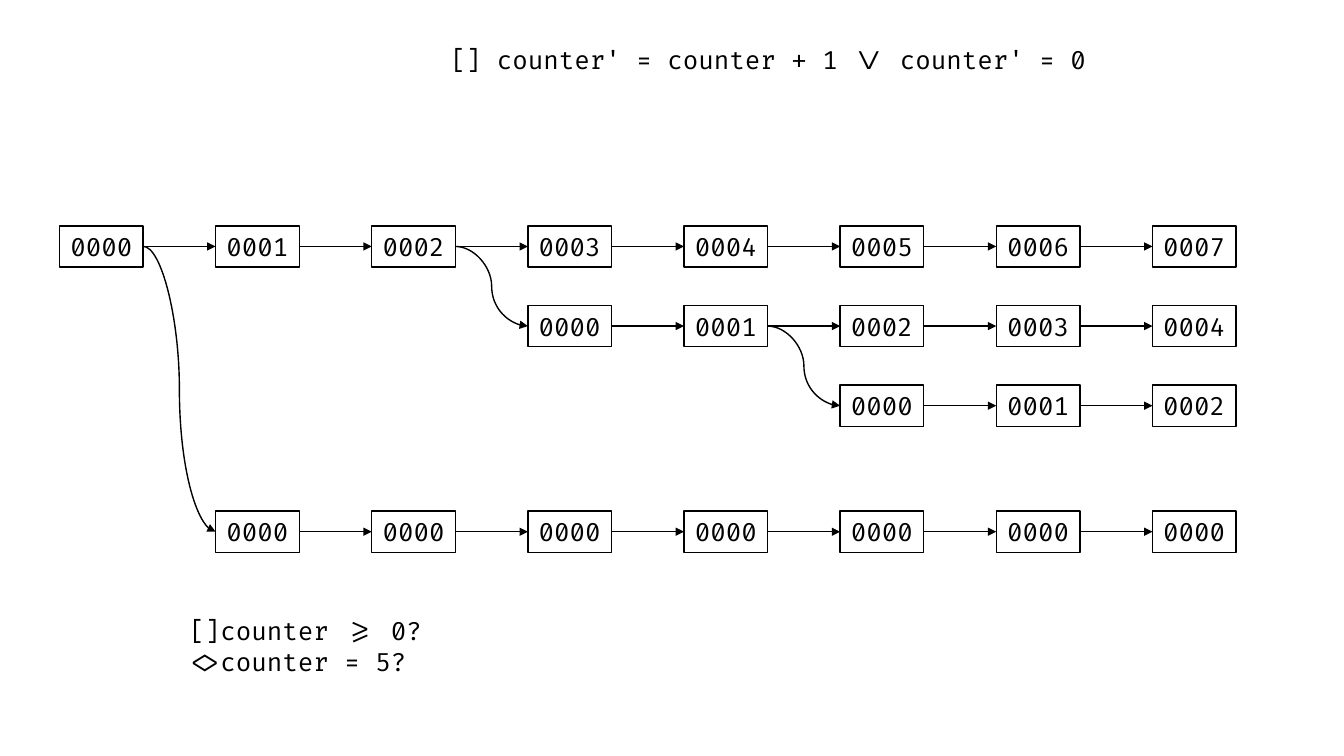
from typing import NamedTuple, Optional

from lxml.etree import SubElement
from pptx import Presentation
from pptx.dml.color import RGBColor
from pptx.enum.shapes import MSO_CONNECTOR as CONN, MSO_SHAPE as SHAPE
from pptx.enum.text import MSO_ANCHOR as ANCHOR, MSO_AUTO_SIZE as FIT, PP_ALIGN as ALIGN
from pptx.oxml.ns import qn
from pptx.util import Inches, Pt

BLACK = "000000"
FONT = "Fira Code"
LEFT, RIGHT, COLUMNS = 0.59, 11.43, 8
PITCH = (RIGHT - LEFT) / (COLUMNS - 1)
BOX_W, BOX_H = 0.83, 0.41
LEFT_SITE, RIGHT_SITE = 1, 3


class Trace(NamedTuple):
    """A run of counter states, up to the last column."""
    top: float
    states: list[int]
    parent: Optional[int] = None  # index of the trace it branches from


class Formula(NamedTuple):
    """A temporal formula, one line of text per item."""
    left: float
    top: float
    width: float
    height: float
    lines: list[str]


TRACES = [
    Trace(2.24, list(range(8))),
    Trace(3.03, list(range(5)), parent=0),
    Trace(3.82, list(range(3)), parent=1),
    Trace(5.07, [0] * 7, parent=0),
]

FORMULAS = [
    Formula(4.37, 0.39, 6.6, 0.4, ["[] counter' = counter + 1 \\/ counter' = 0"]),
    Formula(1.78, 6.06, 2.54, 0.71, ["[]counter >= 0?", "<>counter = 5?"]),
]


def rgb(color: str) -> RGBColor:
    """Turn a hex string into a colour."""
    return RGBColor.from_string(color)


def write(tf, lines: list[str], *, size=18, color=BLACK, align=ALIGN.LEFT,
          anchor=ANCHOR.TOP, wrap=True) -> None:
    """Fill a text frame with one paragraph per line."""
    tf.word_wrap = wrap
    tf.auto_size = FIT.SHAPE_TO_FIT_TEXT
    tf.vertical_anchor = anchor
    for i, line in enumerate(lines):
        p = tf.add_paragraph() if i else tf.paragraphs[0]
        p.alignment = align
        r = p.add_run()
        r.text = line
        r.font.name, r.font.size = FONT, Pt(size)
        r.font.color.rgb = rgb(color)


def add_state(s, column: int, top: float, value: int):
    """Draw one counter state as a box in the given column."""
    sp = s.shapes.add_shape(SHAPE.RECTANGLE, Inches(LEFT + column * PITCH),
                            Inches(top), Inches(BOX_W), Inches(BOX_H))
    sp.shadow.inherit = False
    sp.fill.background()
    sp.line.color.rgb = rgb(BLACK)
    sp.line.width = Pt(1)
    write(sp.text_frame, [f"{value:04d}"], align=ALIGN.CENTER, anchor=ANCHOR.MIDDLE)
    return sp


def add_arrow(s, source, target, kind=CONN.STRAIGHT) -> None:
    """Join the right side of one state to the left side of the next."""
    c = s.shapes.add_connector(kind, 0, 0, 0, 0)
    c.begin_connect(source, RIGHT_SITE)
    c.end_connect(target, LEFT_SITE)
    c.line.color.rgb = rgb(BLACK)
    c.line.width = Pt(1)
    SubElement(c.line._get_or_add_ln(), qn("a:tailEnd"), type="triangle")
    SubElement(c._element.spPr, qn("a:effectLst"))


def add_trace(s, trace: Trace) -> dict:
    """Draw a trace and return its boxes by column."""
    first = COLUMNS - len(trace.states)
    boxes = {column: add_state(s, column, trace.top, value)
             for column, value in enumerate(trace.states, first)}
    for column in range(first + 1, COLUMNS):
        add_arrow(s, boxes[column - 1], boxes[column])
    return boxes


def add_formula(s, formula: Formula) -> None:
    """Place a formula as unwrapped text."""
    box = s.shapes.add_textbox(*map(Inches, formula[:4]))
    write(box.text_frame, formula.lines, wrap=False)


prs = Presentation()
prs.slide_width, prs.slide_height = Inches(13.33), Inches(7.5)
s = prs.slides.add_slide(prs.slide_layouts[6])

drawn = []
for trace in TRACES:
    boxes = add_trace(s, trace)
    if trace.parent is not None:
        first = min(boxes)
        add_arrow(s, drawn[trace.parent][first - 1], boxes[first], CONN.CURVE)
    drawn.append(boxes)

for formula in FORMULAS:
    add_formula(s, formula)

prs.save("out.pptx")
